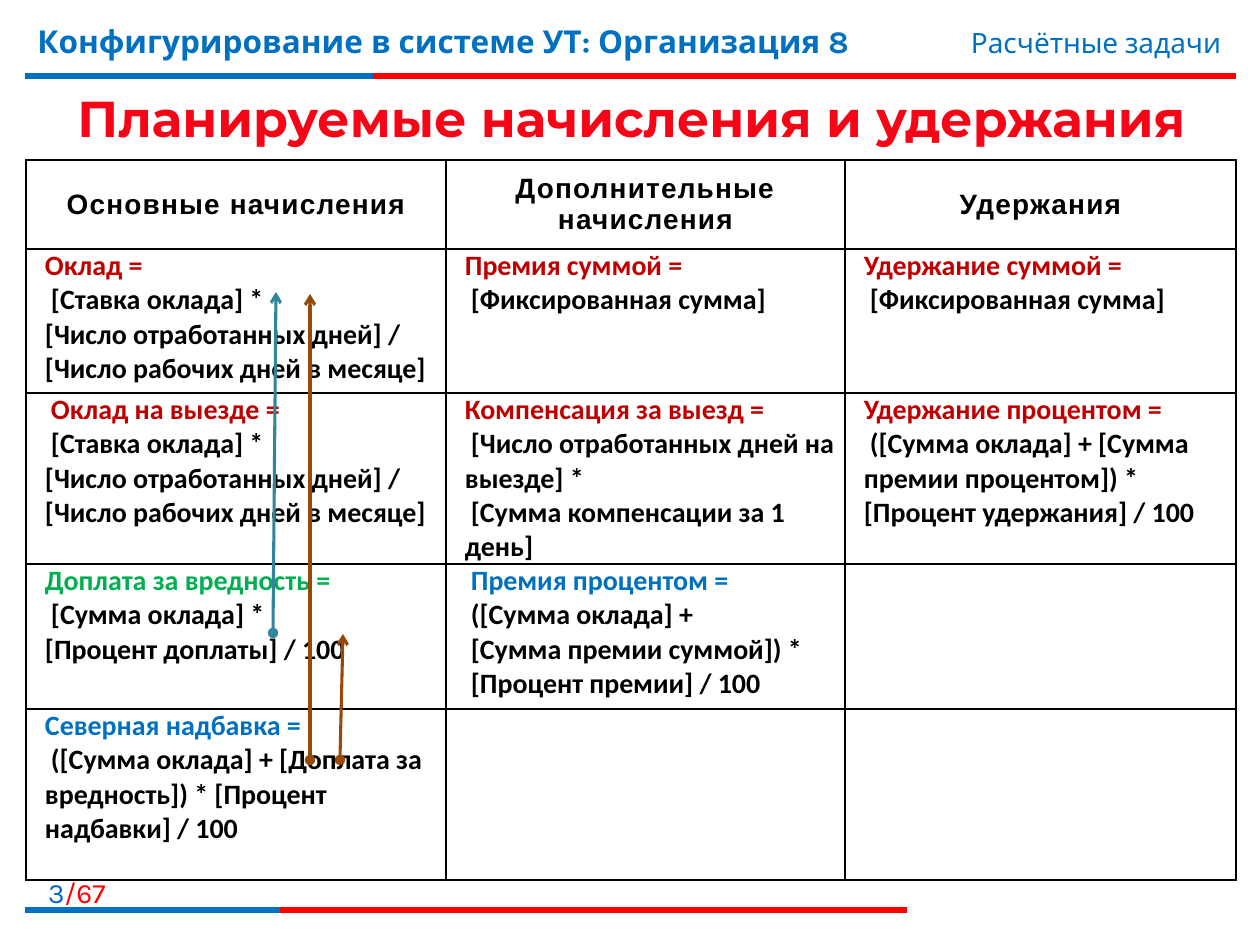
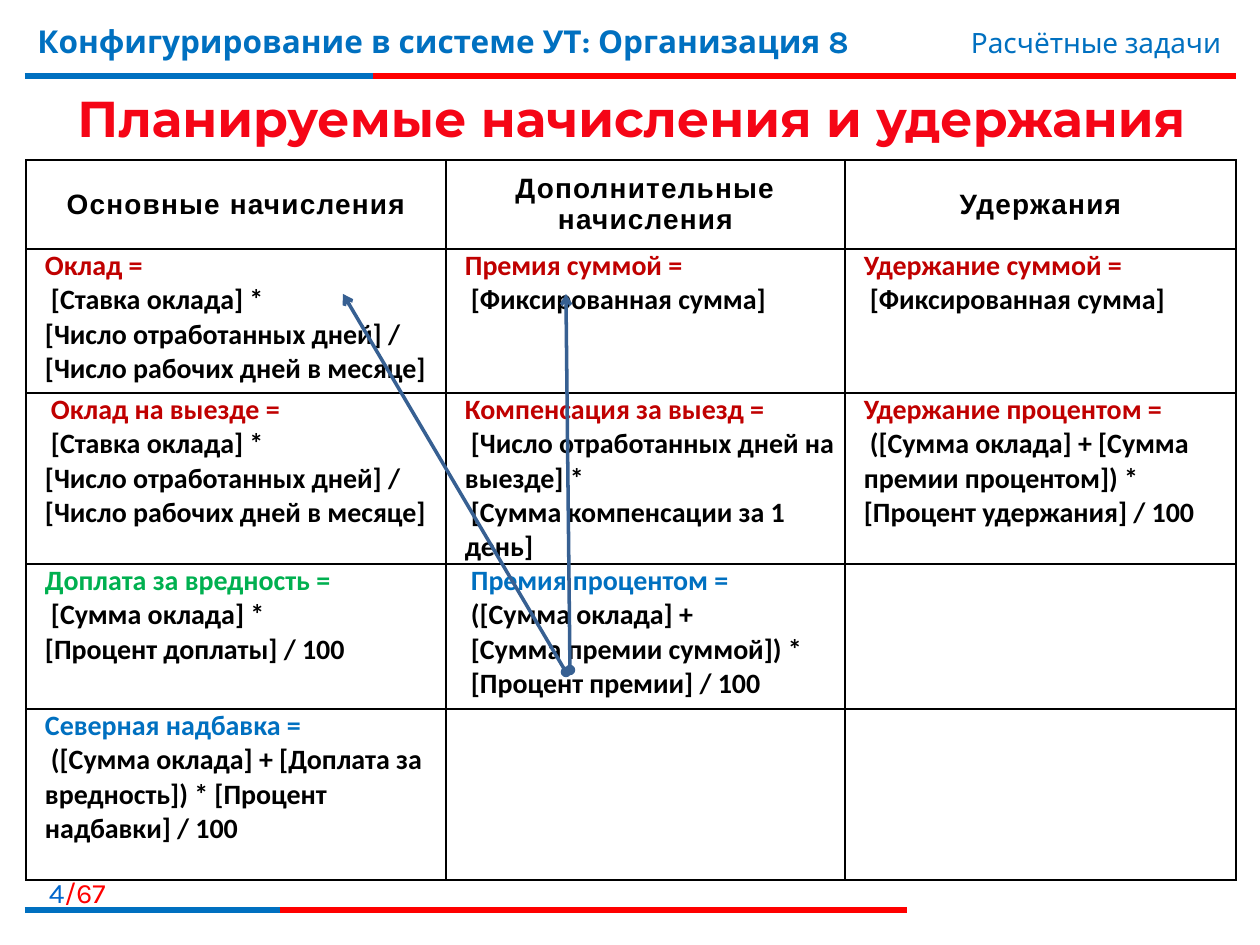
"""Build two slides on planned accruals and deductions with dependency arrows."""
from dataclasses import dataclass

from lxml.etree import SubElement
from pptx import Presentation
from pptx.dml.color import RGBColor as Rgb
from pptx.enum.shapes import MSO_CONNECTOR as Connector
from pptx.enum.text import MSO_ANCHOR as Anchor, MSO_AUTO_SIZE as AutoSize, PP_ALIGN as Align
from pptx.oxml.ns import qn
from pptx.util import Emu, Pt

PX = 914400 / 126


@dataclass(frozen=True)
class Theme:
    blue = Rgb(0x00, 0x70, 0xC0)
    page_blue = Rgb(0x00, 0x66, 0xCC)
    red = Rgb(0xFF, 0x00, 0x00)
    title_red = Rgb(0xF5, 0x05, 0x16)
    dark_red = Rgb(0xC0, 0x00, 0x00)
    green = Rgb(0x00, 0xB0, 0x50)
    black = Rgb(0x00, 0x00, 0x00)
    teal = Rgb(0x31, 0x85, 0x9C)
    brown = Rgb(0x98, 0x48, 0x07)
    steel = Rgb(0x37, 0x60, 0x92)
    title_font, frame_font = "Montserrat", "Karla"
    head_font, cell_font = "Arial", "Calibri"
    title_size, course_size, text_size = Pt(28.8), Pt(18), Pt(16)
    rule_width = Pt(3)


theme = Theme()


def add_line(slide, start, end, color, width, arrow=False):
    points = [Emu(round(value * PX)) for value in (*start, *end)]
    line = slide.shapes.add_connector(Connector.STRAIGHT, *points)
    line.line.color.rgb = color
    line.line.width = width
    properties = line._element.spPr
    if arrow:
        outline = properties.find(qn("a:ln"))
        SubElement(outline, qn("a:headEnd"), type="oval")
        SubElement(outline, qn("a:tailEnd"), type="arrow")
    SubElement(properties, qn("a:effectLst"))


def add_label(slide, box, parts, size, align=Align.LEFT, bold=False):
    label = slide.shapes.add_textbox(*[Emu(round(value * PX)) for value in box])
    label.text_frame.word_wrap = True
    paragraph = label.text_frame.paragraphs[0]
    paragraph.alignment = align
    paragraph.font.name = theme.frame_font
    paragraph.font.size = size
    paragraph.font.bold = bold
    for text, color in parts:
        run = paragraph.add_run()
        run.text = text
        run.font.color.rgb = color


TITLE = "Планируемые начисления и удержания"
COURSE = "Конфигурирование в системе УТ: Организация 8"
TOPIC = "Расчётные задачи"
PAGE_TOTAL = 67
RULES = [(76, 1236, 373), (910, 907, 280)]
RULE_LEFT = 25

COLUMN_WIDTHS = [420, 399, 391]
ROW_HEIGHTS = [89, 144, 171, 145, 171]
FIRST_LINE_INDENT = 6
HEADINGS = ["Основные начисления", "Дополнительные начисления", "Удержания"]
DAYS = "[Число отработанных дней] / [Число рабочих дней в месяце]"
FORMULAS = [
    [
        (theme.dark_red, ["Оклад =", " [Ставка оклада] *", DAYS]),
        (theme.dark_red, ["Премия суммой =", " [Фиксированная сумма]"]),
        (theme.dark_red, ["Удержание суммой =", " [Фиксированная сумма]"]),
    ],
    [
        (theme.dark_red, [" Оклад на выезде =", " [Ставка оклада] *", DAYS]),
        (theme.dark_red, ["Компенсация за выезд =", " [Число отработанных дней на выезде] *",
                          " [Сумма компенсации за 1 день]"]),
        (theme.dark_red, ["Удержание процентом =", " ([Сумма оклада] + [Сумма премии процентом]) *",
                          "[Процент удержания] / 100"]),
    ],
    [
        (theme.green, ["Доплата за вредность =", " [Сумма оклада] *", "[Процент доплаты] / 100"]),
        (theme.blue, [" Премия процентом =", " ([Сумма оклада] +", " [Сумма премии суммой]) *",
                      " [Процент премии] / 100"]),
    ],
    [
        (theme.blue, ["Северная надбавка =",
                      " ([Сумма оклада] + [Доплата за вредность]) * [Процент надбавки] / 100"]),
    ],
]

ARROWS_BY_PAGE = {
    3: [
        ((273, 633), (276, 292), theme.teal, Pt(1.75)),
        ((310, 760), (310, 294), theme.brown, Pt(1.75)),
        ((340, 760), (343, 634), theme.brown, Pt(1.75)),
    ],
    4: [
        ((570, 670), (566, 294), theme.steel, Pt(2)),
        ((566, 672), (343, 294), theme.steel, Pt(2)),
    ],
}

presentation = Presentation()
presentation.slide_width = Emu(round(1260 * PX))
presentation.slide_height = Emu(round(945 * PX))

for page, arrows in ARROWS_BY_PAGE.items():
    slide = presentation.slides.add_slide(presentation.slide_layouts[5])

    for y, red_end, blue_end in RULES:
        add_line(slide, (RULE_LEFT, y), (red_end, y), theme.red, theme.rule_width)
        add_line(slide, (RULE_LEFT, y), (blue_end, y), theme.blue, theme.rule_width)
    add_label(slide, (0, 869, 118, 40), [(str(page), theme.page_blue), (f"/{PAGE_TOTAL}", theme.red)],
              theme.text_size, Align.RIGHT)
    add_label(slide, (25, 16, 932, 78), [(COURSE, theme.blue)], theme.course_size, bold=True)
    add_label(slide, (748, 19, 486, 47), [(TOPIC, theme.blue)], theme.text_size, Align.RIGHT)

    title = slide.shapes.title
    title.left, title.top, title.width, title.height = [Emu(round(v * PX)) for v in (26, 79, 1211, 76)]
    title.text_frame.text = TITLE
    title.text_frame.auto_size = AutoSize.NONE
    title.text_frame.vertical_anchor = Anchor.MIDDLE
    paragraph = title.text_frame.paragraphs[0]
    paragraph.alignment = Align.CENTER
    paragraph.font.name = theme.title_font
    paragraph.font.size = theme.title_size
    paragraph.font.bold = True
    paragraph.font.color.rgb = theme.title_red

    table_box = (26, 160, sum(COLUMN_WIDTHS), sum(ROW_HEIGHTS))
    table = slide.shapes.add_table(len(ROW_HEIGHTS), len(COLUMN_WIDTHS),
                                   *[Emu(round(v * PX)) for v in table_box]).table
    table.first_row = table.horz_banding = False
    for column, width in zip(table.columns, COLUMN_WIDTHS):
        column.width = Emu(round(width * PX))
    for row, height in zip(table.rows, ROW_HEIGHTS):
        row.height = Emu(round(height * PX))

    for cell in table.iter_cells():
        cell.margin_left = cell.margin_right = Emu(round(6 * PX))
        cell.margin_top = cell.margin_bottom = 0
        properties = cell._tc.get_or_add_tcPr()
        for side in ("lnL", "lnR", "lnT", "lnB"):
            border = SubElement(properties, qn(f"a:{side}"), w=str(Pt(1)))
            fill = SubElement(border, qn("a:solidFill"))
            SubElement(fill, qn("a:srgbClr"), val=str(theme.black))
        cell.fill.background()

    for column_index, heading in enumerate(HEADINGS):
        cell = table.cell(0, column_index)
        cell.vertical_anchor = Anchor.MIDDLE
        paragraph = cell.text_frame.paragraphs[0]
        paragraph.alignment = Align.CENTER
        run = paragraph.add_run()
        run.text = heading
        run.font.name = theme.head_font
        run.font.size = theme.text_size
        run.font.bold = True
        run.font.color.rgb = theme.black
        run._r.get_or_add_rPr().set("spc", "70")

    for row_index, formulas in enumerate(FORMULAS, start=1):
        for column_index, (name_color, lines) in enumerate(formulas):
            cell = table.cell(row_index, column_index)
            cell.margin_left = Emu(round(19 * PX))
            cell.text_frame.text = "\n".join(line.strip() for line in lines)
            for index, paragraph in enumerate(cell.text_frame.paragraphs):
                if lines[index].startswith(" "):
                    paragraph._p.get_or_add_pPr().set("indent", str(round(FIRST_LINE_INDENT * PX)))
                paragraph.font.name = theme.cell_font
                paragraph.font.size = theme.text_size
                paragraph.font.bold = True
                paragraph.font.color.rgb = theme.black if index else name_color

    for start, end, color, width in arrows:
        add_line(slide, start, end, color, width, arrow=True)

presentation.save("out.pptx")
